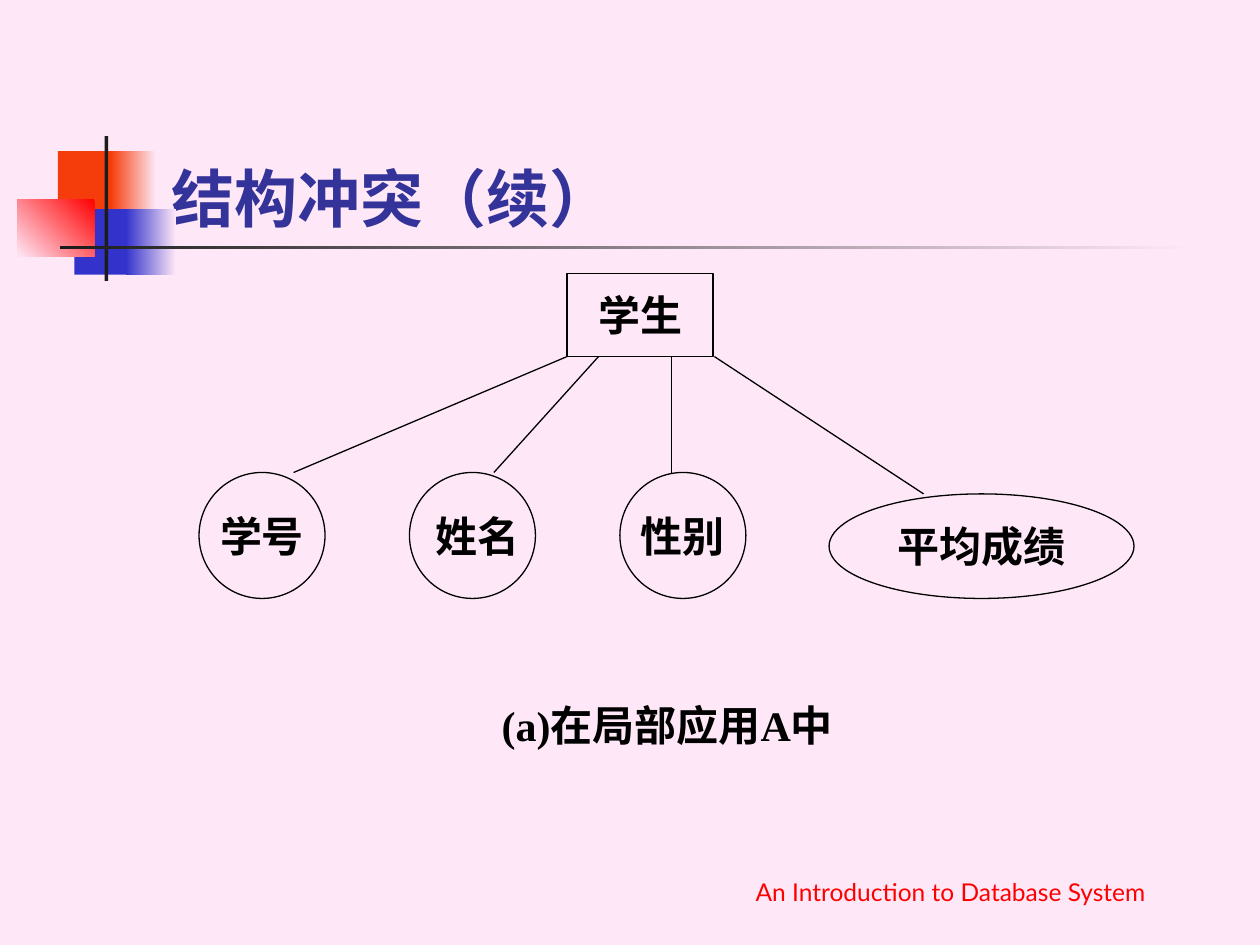
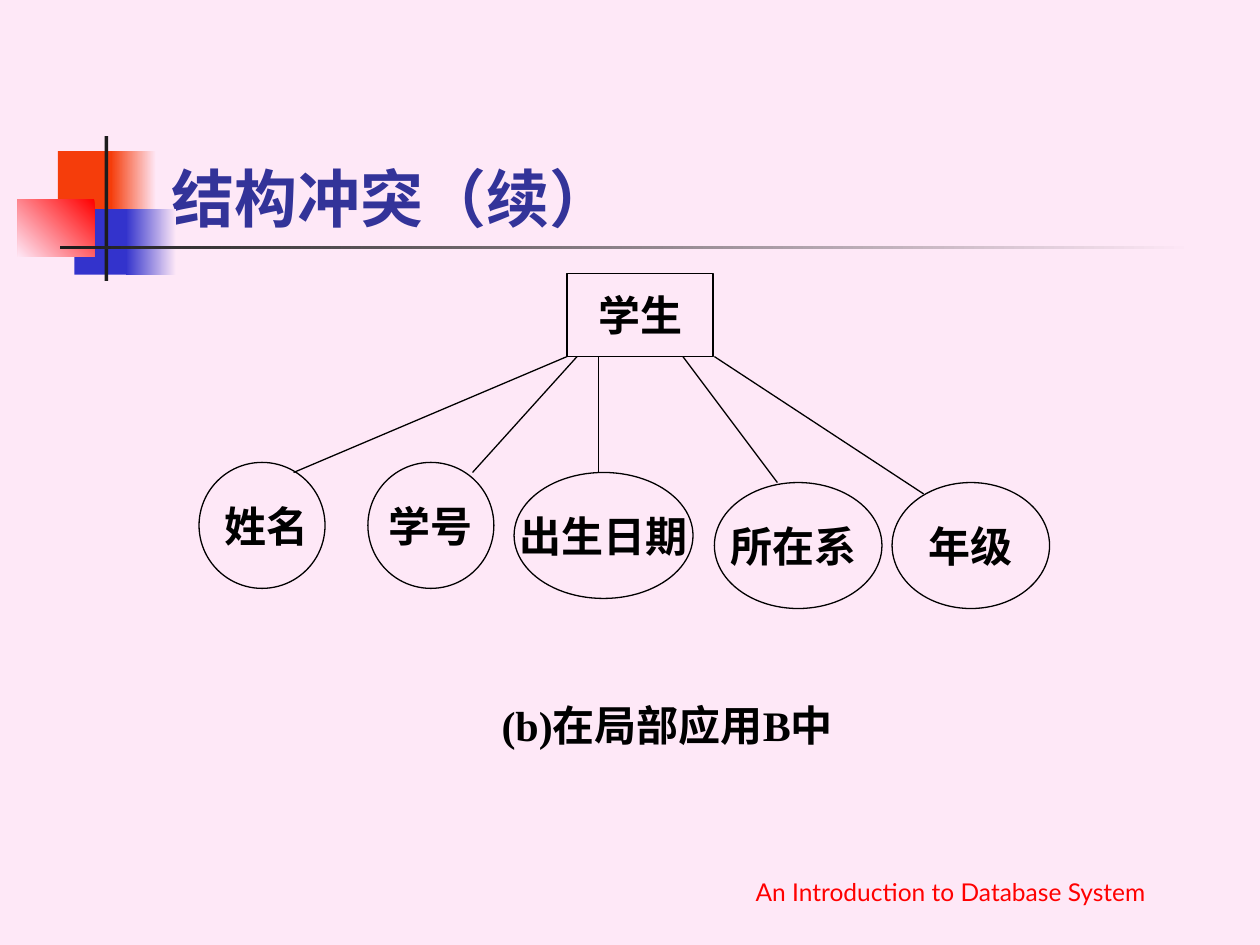
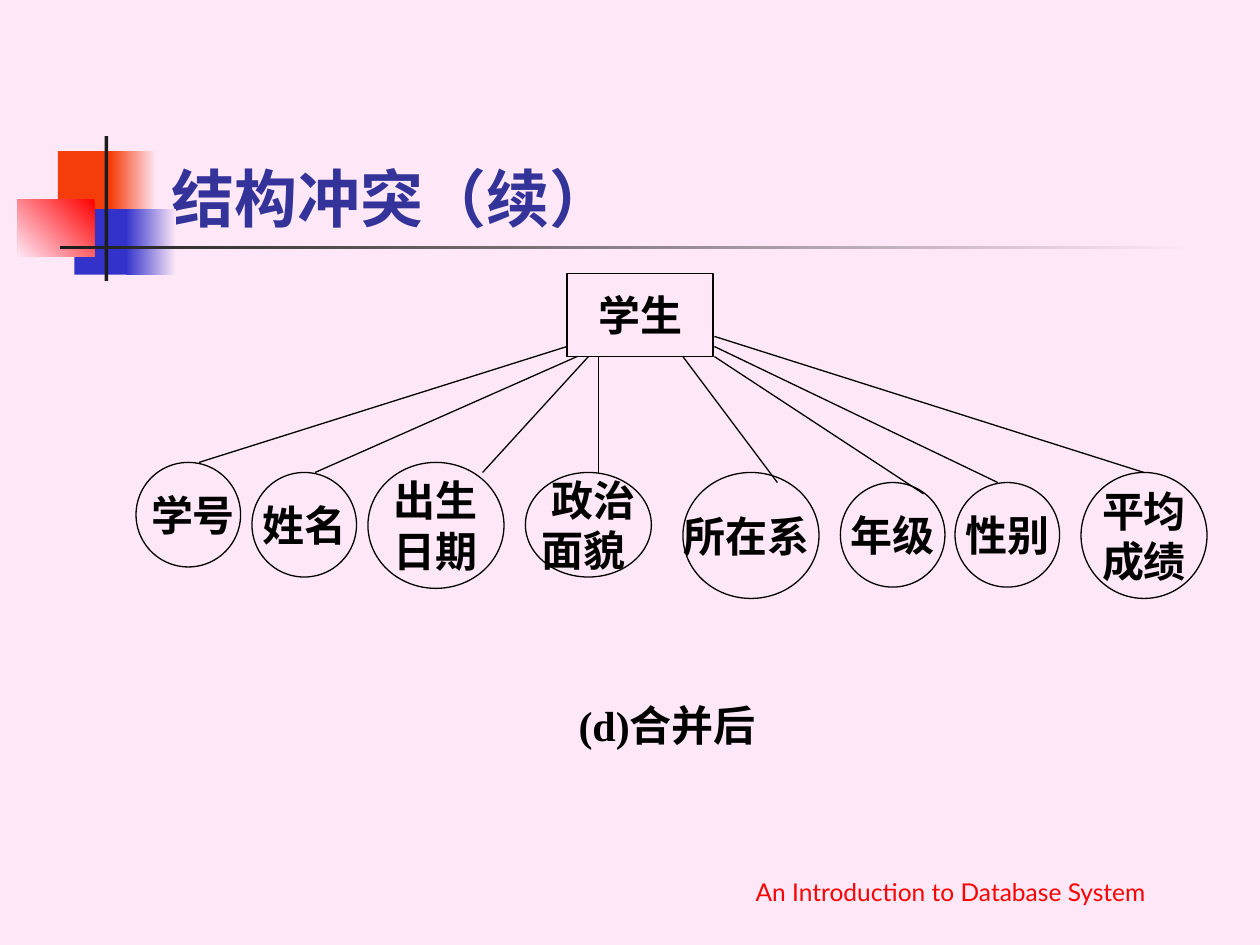
from dataclasses import dataclass

from lxml.etree import SubElement
from pptx import Presentation
from pptx.dml.color import RGBColor
from pptx.enum.shapes import MSO_CONNECTOR as Connector, MSO_SHAPE as Preset
from pptx.enum.text import MSO_ANCHOR as Anchor, MSO_AUTO_SIZE as AutoSize, PP_ALIGN as Align
from pptx.oxml.ns import qn
from pptx.slide import Slide
from pptx.text.text import TextFrame
from pptx.util import Inches, Pt

PINK, BLACK, CHARCOAL = "FEE8F7", "000000", "1C1C1C"
ORANGE, BLUE, RED, INDIGO = "F53D0B", "3333CC", "FF0000", "333399"
SANS, SERIF = "Lato", "Times New Roman"
TITLE = "结构冲突（续）"
FOOTER = "An Introduction to Database System"

Box = tuple[float, float, float, float]
Point = tuple[float, float]


@dataclass(frozen=True)
class Style:
    font: str
    size: int
    color: str
    bold: bool
    align: Align
    anchor: Anchor
    wrap: bool


@dataclass(frozen=True)
class Block:
    box: Box
    start: str
    end: str = ""
    angle: int = 180


@dataclass(frozen=True)
class Attribute:
    lines: tuple[str, ...]
    box: Box
    link_start: Point
    link_end: Point


@dataclass(frozen=True)
class Diagram:
    caption: str
    attributes: tuple[Attribute, ...]


TITLE_STYLE = Style(SANS, 36, INDIGO, True, Align.LEFT, Anchor.BOTTOM, True)
DIAGRAM_STYLE = Style(SERIF, 24, BLACK, True, Align.CENTER, Anchor.MIDDLE, False)
FOOTER_STYLE = Style(SANS, 14, RED, False, Align.CENTER, Anchor.BOTTOM, True)

TITLE_BOX = (1.26, 0.67, 8.52, 1.25)
ENTITY_BOX = (4.5, 2.17, 1.16, 0.66)
CAPTION_BOX = (3.67, 5.42, 3.25, 0.67)
FOOTER_BOX = (5.5, 6.74, 4.09, 0.5)

ORNAMENT = (
    Block((0.46, 1.2, 0.48, 0.52), ORANGE),
    Block((0.88, 1.2, 0.36, 0.52), PINK, ORANGE),
    Block((0.59, 1.66, 0.46, 0.52), BLUE),
    Block((1, 1.66, 0.4, 0.52), PINK, BLUE),
    Block((0.14, 1.58, 0.61, 0.46), RED, PINK, 225),
    Block((0.83, 1.08, 0.03, 1.15), CHARCOAL),
    Block((0.48, 1.95, 9, 0.03), PINK, CHARCOAL),
)

DIAGRAMS = (
    Diagram("(a)在局部应用A中", (
        Attribute(("学号",), (1.58, 3.75, 1, 1), (4.5, 2.83), (2.33, 3.75)),
        Attribute((" 姓名",), (3.25, 3.75, 1, 1), (4.75, 2.83), (3.92, 3.75)),
        Attribute(("性别",), (4.92, 3.75, 1, 1), (5.33, 2.83), (5.33, 3.75)),
        Attribute(("平均成绩",), (6.58, 3.92, 2.42, 0.83), (5.67, 2.83), (7.33, 3.92)),
    )),
    Diagram("(b)在局部应用B中", (
        Attribute((" 姓名",), (1.58, 3.67, 1, 1), (4.5, 2.83), (2.33, 3.75)),
        Attribute(("学号",), (2.92, 3.67, 1, 1), (4.58, 2.83), (3.75, 3.75)),
        Attribute(("出生日期",), (4.08, 3.75, 1.42, 1), (4.75, 2.83), (4.75, 3.75)),
        Attribute(("所在系 ",), (5.67, 3.83, 1.33, 1), (5.42, 2.83), (6.17, 3.83)),
        Attribute(("年级",), (7.08, 3.83, 1.25, 1), (5.67, 2.83), (7.33, 3.92)),
    )),
    Diagram("(d)合并后", (
        Attribute((" 学号",), (1.08, 3.67, 0.83, 0.83), (4.5, 2.75), (1.58, 3.67)),
        Attribute(("姓名",), (2, 3.75, 0.83, 0.83), (4.58, 2.83), (2.5, 3.75)),
        Attribute(("出生", "日期"), (2.92, 3.67, 1.08, 1), (4.67, 2.83), (3.83, 3.75)),
        Attribute((" 政治", "面貌 "), (4.17, 3.75, 1, 0.83), (4.75, 2.83), (4.75, 3.75)),
        Attribute(("所在系 ",), (5.42, 3.75, 1.08, 1), (5.42, 2.83), (6.17, 3.83)),
        Attribute(("年级",), (6.67, 3.83, 0.83, 0.83), (5.67, 2.83), (7.33, 3.92)),
        Attribute(("性别",), (7.58, 3.83, 0.83, 0.83), (5.67, 2.75), (7.92, 3.83)),
        Attribute(("平均", "成绩"), (8.58, 3.75, 1, 1), (5.67, 2.67), (9.08, 3.75)),
    )),
)


def rgb(color: str) -> RGBColor:
    return RGBColor.from_string(color)


def write(frame: TextFrame, lines: tuple[str, ...], style: Style) -> None:
    frame.auto_size = AutoSize.NONE
    frame.word_wrap = style.wrap
    frame.vertical_anchor = style.anchor
    for index, line in enumerate(lines):
        paragraph = frame.add_paragraph() if index else frame.paragraphs[0]
        paragraph.alignment = style.align
        run = paragraph.add_run()
        run.text = line
        run.font.name = style.font
        run.font.size = Pt(style.size)
        run.font.bold = style.bold
        run.font.color.rgb = rgb(style.color)


def add_title(slide: Slide) -> None:
    title = slide.shapes.title
    title.left, title.top, title.width, title.height = map(Inches, TITLE_BOX)
    write(title.text_frame, (TITLE,), TITLE_STYLE)


def add_text(slide: Slide, box: Box, text: str, style: Style) -> None:
    write(slide.shapes.add_textbox(*map(Inches, box)).text_frame, (text,), style)


def add_block(slide: Slide, block: Block) -> None:
    shape = slide.shapes.add_shape(Preset.RECTANGLE, *map(Inches, block.box))
    shape.shadow.inherit = False
    shape.line.fill.background()
    if block.end:
        shape.fill.gradient()
        shape.fill.gradient_angle = block.angle
        for stop, color, position in zip(shape.fill.gradient_stops, (block.start, block.end), (0, 1)):
            stop.color.rgb = rgb(color)
            stop.position = position
    else:
        shape.fill.solid()
        shape.fill.fore_color.rgb = rgb(block.start)


def add_node(slide: Slide, preset: Preset, box: Box, lines: tuple[str, ...]) -> None:
    node = slide.shapes.add_shape(preset, *map(Inches, box))
    node.shadow.inherit = False
    node.fill.background()
    node.line.color.rgb = rgb(BLACK)
    node.line.width = Pt(0.75)
    write(node.text_frame, lines, DIAGRAM_STYLE)


def add_link(slide: Slide, start: Point, end: Point) -> None:
    link = slide.shapes.add_connector(Connector.STRAIGHT, *map(Inches, start + end))
    link.line.color.rgb = rgb(BLACK)
    link.line.width = Pt(0.75)
    SubElement(link._element.spPr, qn("a:effectLst"))


def add_diagram(slide: Slide, diagram: Diagram) -> None:
    add_node(slide, Preset.RECTANGLE, ENTITY_BOX, ("学生",))
    for attribute in diagram.attributes:
        add_node(slide, Preset.OVAL, attribute.box, attribute.lines)
        add_link(slide, attribute.link_start, attribute.link_end)
    add_text(slide, CAPTION_BOX, diagram.caption, DIAGRAM_STYLE)


def main() -> None:
    deck = Presentation()
    deck.slide_width, deck.slide_height = Inches(10), Inches(7.5)
    background = deck.slide_master.background.fill
    background.solid()
    background.fore_color.rgb = rgb(PINK)
    title_only = deck.slide_layouts[5]
    for diagram in DIAGRAMS:
        slide = deck.slides.add_slide(title_only)
        for block in ORNAMENT:
            add_block(slide, block)
        add_title(slide)
        add_diagram(slide, diagram)
        add_text(slide, FOOTER_BOX, FOOTER, FOOTER_STYLE)
    deck.save("out.pptx")


if __name__ == "__main__":
    main()
